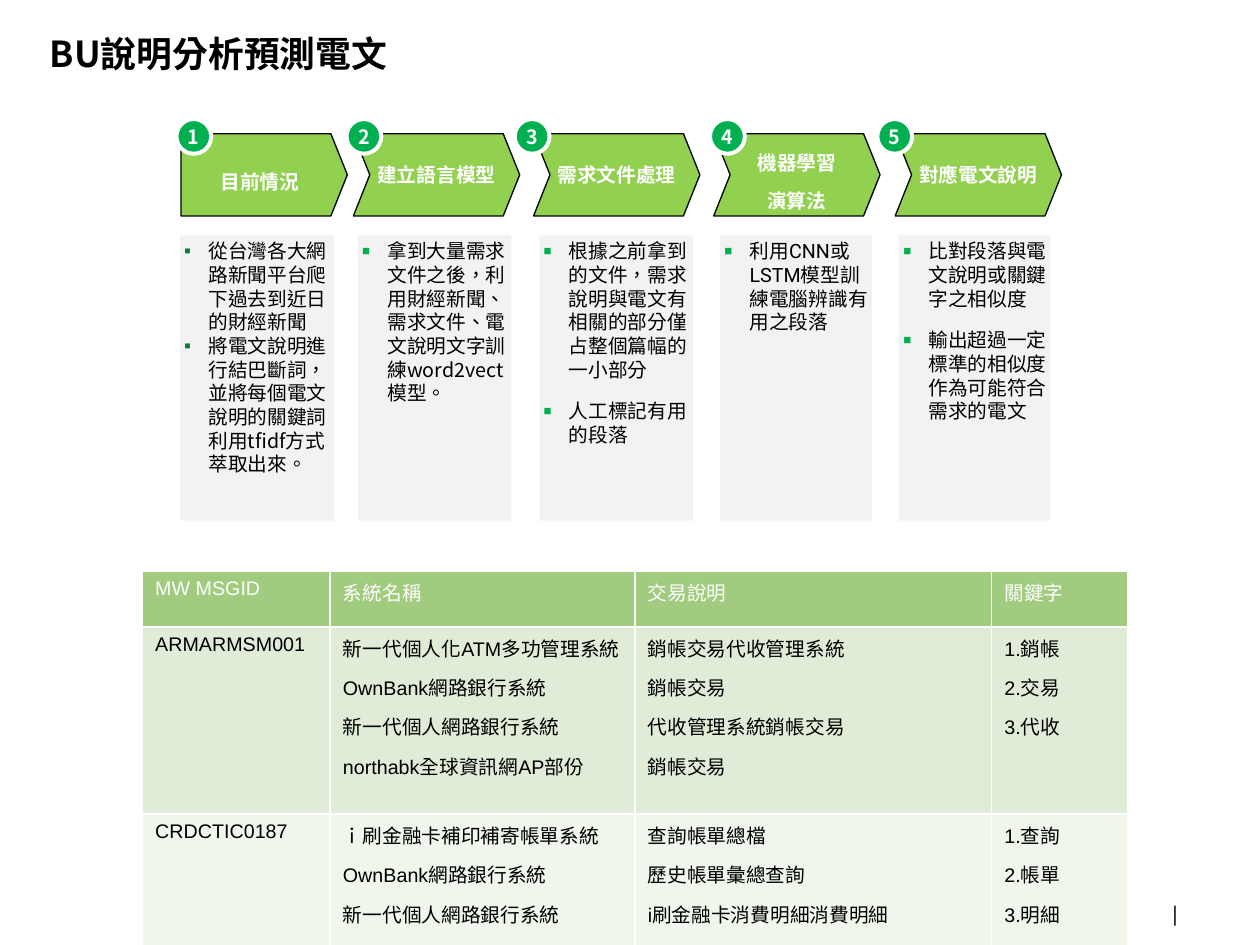
from dataclasses import dataclass

from lxml.etree import SubElement
from pptx import Presentation
from pptx.dml.color import RGBColor
from pptx.enum.lang import MSO_LANGUAGE_ID as Language
from pptx.enum.shapes import MSO_SHAPE as Preset
from pptx.enum.text import MSO_ANCHOR as Anchor, PP_ALIGN as Align
from pptx.oxml.ns import qn
from pptx.util import Emu, Inches, Pt

BLACK = RGBColor(0, 0, 0)
WHITE = RGBColor(255, 255, 255)
LIME = RGBColor(0x92, 0xD0, 0x50)
GREEN = RGBColor(0x00, 0xB0, 0x50)
DARK_GREEN = RGBColor(0x02, 0x81, 0x30)
CARD_GREY = RGBColor(0xF2, 0xF2, 0xF2)
ROW_FILLS = (RGBColor(0xA1, 0xCB, 0x7F), RGBColor(0xE0, 0xEC, 0xD8), RGBColor(0xF0, 0xF6, 0xEC))
CJK = "Noto Sans CJK SC"
LINE_PITCH = Pt(13.25)
WIDTH = Pt(705.2)
HEIGHT = Emu(WIDTH * 3 // 4)


@dataclass(frozen=True)
class Area:
    left: float
    top: float
    width: float
    height: float

    def lengths(self) -> tuple:
        return across(self.left), down(self.top), across(self.width), down(self.height)


@dataclass(frozen=True)
class Step:
    heading: str
    points: tuple
    arrow_left: float
    badge_left: float
    card_left: float
    card_width: float = 12.2
    latin: str = CJK
    drop: float = 0


STEPS = (
    Step("目前情況",
         ("從台灣各大網路新聞平台爬下過去到近日的財經新聞",
          "將電文說明進行結巴斷詞，並將每個電文說明的關鍵詞利用tfidf方式萃取出來。"),
         14.37, 14, 14.3, drop=0.11),
    Step("建立語言模型",
         ("拿到大量需求文件之後，利用財經新聞、需求文件、電文說明文字訓練word2vect模型。",),
         28.05, 27.5, 28.4),
    Step("需求文件處理",
         ("根據之前拿到的文件，需求說明與電文有相關的部分僅占整個篇幅的一小部分",
          "人工標記有用的段落"),
         42.35, 40.85, 42.8, latin="Roboto"),
    Step("機器學習\n演算法",
         ("利用CNN或LSTM模型訓練電腦辨識有用之段落",),
         56.65, 56.35, 57.15, 12.05, latin="Roboto", drop=0.11),
    Step("對應電文說明",
         ("比對段落與電文說明或關鍵字之相似度",
          "輸出超過一定標準的相似度作為可能符合需求的電文"),
         71.05, 69.63, 71.35, 12.05),
)

MESSAGES = (
    ("MW MSGID", "系統名稱", "交易說明", "關鍵字"),
    ("ARMARMSM001",
     "新一代個人化ATM多功管理系統\nOwnBank網路銀行系統\n新一代個人網路銀行系統\nnorthabk全球資訊網AP部份",
     "銷帳交易代收管理系統\n銷帳交易\n代收管理系統銷帳交易\n銷帳交易",
     "1.銷帳\n2.交易\n3.代收"),
    ("CRDCTIC0187",
     "ｉ刷金融卡補印補寄帳單系統\nOwnBank網路銀行系統\n新一代個人網路銀行系統",
     "查詢帳單總檔\n歷史帳單彙總查詢\ni刷金融卡消費明細消費明細",
     "1.查詢\n2.帳單\n3.明細"),
)
COLUMN_SHARES = (14.9, 24.2, 28.3, 10.8)
ROW_SHARES = (5.95, 19.8, 14.7)


def across(percent: float) -> Emu:
    return Emu(round(WIDTH * percent / 100))


def down(percent: float) -> Emu:
    return Emu(round(HEIGHT * percent / 100))


def set_margins(frame, left: float = 0, top: float = 0, right: float = 0, bottom: float = 0) -> None:
    frame.margin_left, frame.margin_top = Inches(left), Inches(top)
    frame.margin_right, frame.margin_bottom = Inches(right), Inches(bottom)


def style_text(frame, color: RGBColor, size: float = 11, bold: bool = False, latin: str = CJK,
               align: Align = Align.LEFT, pitch: Pt = None, gap: float = 0) -> None:
    for index, paragraph in enumerate(frame.paragraphs):
        paragraph.alignment = align
        paragraph.line_spacing = pitch
        paragraph.space_before = Pt(gap if index else 0)
        for run in paragraph.runs:
            font = run.font
            font.size, font.bold, font.name = Pt(size), bold, latin
            font.language_id = Language.TRADITIONAL_CHINESE
            font.color.rgb = color
            SubElement(font._element, qn("a:ea"), typeface=CJK)


def add_bullets(frame, color: RGBColor, indent: float, percent: int) -> None:
    for paragraph in frame.paragraphs:
        props = paragraph._p.get_or_add_pPr()
        props.set("marL", str(Inches(indent)))
        props.set("indent", str(-Inches(indent)))
        SubElement(SubElement(props, qn("a:buClr")), qn("a:srgbClr"), val=str(color))
        SubElement(props, qn("a:buSzPct"), val=str(percent * 1000))
        SubElement(props, qn("a:buFont"), typeface="Arial")
        SubElement(props, qn("a:buChar"), char="▪")


def add_panel(slide, preset: Preset, area: Area, fill: RGBColor,
              line: RGBColor = None, weight: float = 0):
    panel = slide.shapes.add_shape(preset, *area.lengths())
    panel.shadow.inherit = False
    panel.fill.solid()
    panel.fill.fore_color.rgb = fill
    if line is None:
        panel.line.fill.background()
    else:
        panel.line.color.rgb = line
        panel.line.width = Pt(weight)
    return panel


def add_label(slide, words: str, area: Area, **style) -> None:
    frame = slide.shapes.add_textbox(*area.lengths()).text_frame
    set_margins(frame)
    frame.word_wrap = True
    frame.text = words
    style_text(frame, BLACK, **style)


def draw_step(slide, number: int, step: Step) -> None:
    preset = Preset.PENTAGON if number == 1 else Preset.CHEVRON
    arrow = add_panel(slide, preset, Area(step.arrow_left, 14.15, 13.2, 8.7), LIME, BLACK, 0.75)
    arrow.adjustments[0] = 0.2
    heading = arrow.text_frame
    set_margins(heading, top=step.drop)
    heading.vertical_anchor = Anchor.MIDDLE
    heading.text = step.heading
    style_text(heading, WHITE, bold=True, align=Align.CENTER, pitch=LINE_PITCH, gap=8)

    card = add_panel(slide, Preset.RECTANGLE,
                     Area(step.card_left, 24.9, step.card_width, 30.2), CARD_GREY)
    points = card.text_frame
    set_margins(points, left=0.03, top=0.03, bottom=0.03)
    points.vertical_anchor = Anchor.TOP
    points.word_wrap = True
    points.text = "\n".join(step.points)
    if number == 1:
        add_bullets(points, DARK_GREEN, 0.19, 100)
    else:
        add_bullets(points, GREEN, 0.2, 130)
    style_text(points, BLACK, latin=step.latin, pitch=LINE_PITCH, gap=0 if number == 1 else 10)

    badge = add_panel(slide, Preset.OVAL, Area(step.badge_left, 12.6, 2.76, 3.67), GREEN, WHITE, 2.25)
    digit = badge.text_frame
    set_margins(digit)
    digit.word_wrap = False
    digit.vertical_anchor = Anchor.MIDDLE
    digit.text = str(number)
    style_text(digit, WHITE, bold=True, align=Align.CENTER, pitch=LINE_PITCH)


def add_border(cell, side: str) -> None:
    border = SubElement(cell._tc.get_or_add_tcPr(), qn(f"a:{side}"), w=str(Pt(1)))
    SubElement(SubElement(border, qn("a:solidFill")), qn("a:srgbClr"), val=str(WHITE))


def draw_messages(slide) -> None:
    area = Area(11.3, 60.4, sum(COLUMN_SHARES), sum(ROW_SHARES))
    table = slide.shapes.add_table(len(MESSAGES), len(COLUMN_SHARES), *area.lengths()).table
    for column, share in zip(table.columns, COLUMN_SHARES):
        column.width = across(share)
    for r, (entries, fill) in enumerate(zip(MESSAGES, ROW_FILLS)):
        table.rows[r].height = down(ROW_SHARES[r])
        for c, entry in enumerate(entries):
            cell = table.cell(r, c)
            for side in ("lnL", "lnR", "lnT", "lnB"):
                add_border(cell, side)
            cell.fill.solid()
            cell.fill.fore_color.rgb = fill
            cell.text_frame.text = entry
            style_text(cell.text_frame, BLACK if r else WHITE, latin="Arial", gap=6)


def main() -> None:
    deck = Presentation()
    deck.slide_width = WIDTH
    deck.slide_height = HEIGHT
    slide = deck.slides.add_slide(deck.slide_layouts[6])
    add_label(slide, "BU說明分析預測電文", Area(3.95, 3.4, 95, 9.1), size=20, bold=True, pitch=Pt(24))
    for number, step in enumerate(STEPS, 1):
        draw_step(slide, number, step)
    draw_messages(slide)
    add_label(slide, "|", Area(93.05, 95.3, 1.43, 2.6), size=12, latin="Lato")
    deck.save("out.pptx")


if __name__ == "__main__":
    main()
